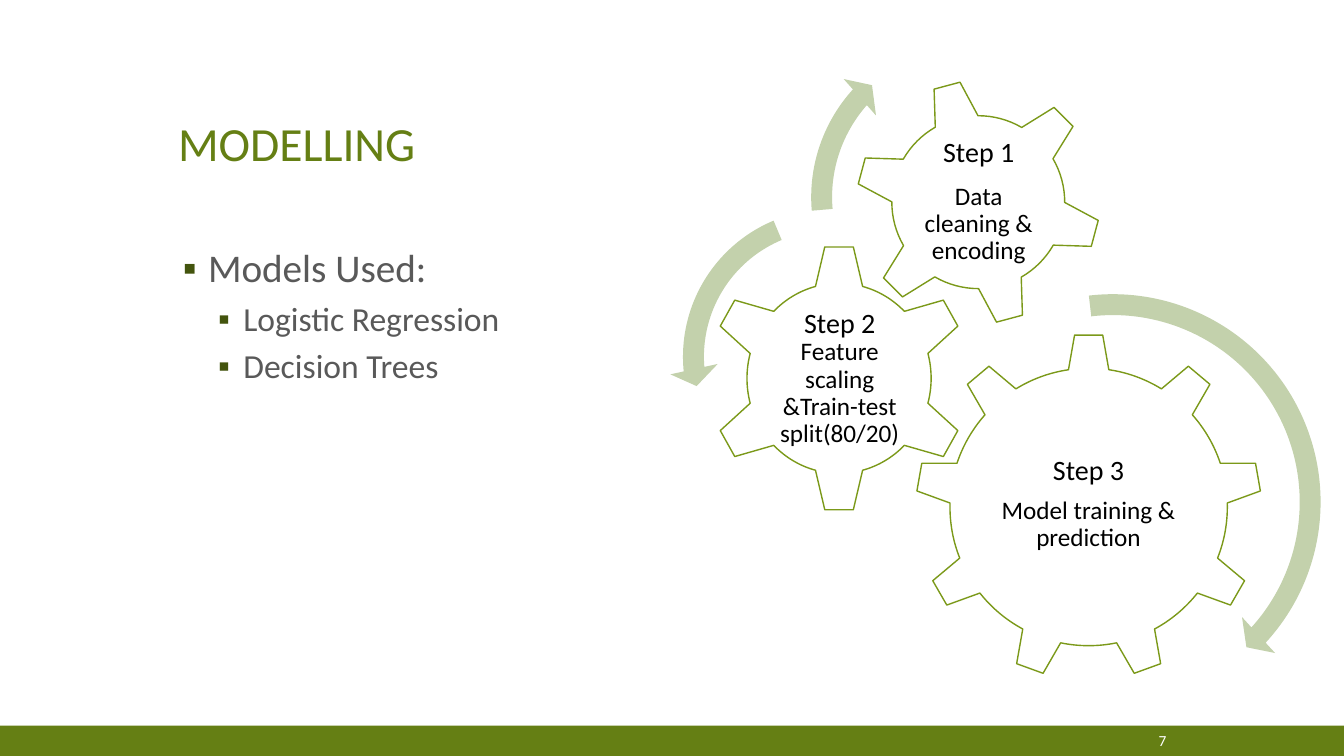
import pptx
import pptx.util
import pptx.dml.color
import pptx.enum.shapes
import pptx.enum.text
import lxml.etree

Pt = pptx.util.Pt
SHAPE = pptx.enum.shapes.MSO_SHAPE
ALIGN = pptx.enum.text.PP_ALIGN
ANCHOR = pptx.enum.text.MSO_ANCHOR
COLORS = {
    "green": "657F14", "outline": "7B9919", "arrow": "C3D1AC", "bullet": "43540D",
    "body": "595959", "black": "000000", "white": "FFFFFF",
}


def rgb(name):
    return pptx.dml.color.RGBColor.from_string(COLORS[name])


def style(para, size, color, align=ALIGN.LEFT, spacing=0.9):
    para.font.name = "Calibri"
    para.font.size = Pt(size)
    para.font.color.rgb = rgb(color)
    para.alignment = align
    para.line_spacing = spacing


deck = pptx.Presentation()
deck.slide_width, deck.slide_height = Pt(960), Pt(540)
page = deck.slides.add_slide(deck.slide_layouts[5])

footer = page.shapes.add_shape(SHAPE.RECTANGLE, Pt(0), Pt(518.4), Pt(960), Pt(21.6))
footer.shadow.inherit = False
footer.fill.solid()
footer.fill.fore_color.rgb = rgb("green")
footer.line.fill.background()

title = page.shapes.title
title.left, title.top, title.width, title.height = Pt(120), Pt(36), Pt(720), Pt(90)
title.text_frame.text = "MODELLING"
title.text_frame.vertical_anchor = ANCHOR.BOTTOM
style(title.text_frame.paragraphs[0], 34, "green")

models = page.shapes.add_textbox(Pt(120), Pt(174.2), Pt(354), Pt(351.4)).text_frame
models.word_wrap = True
models.text = "Models Used:\nLogistic Regression\nDecision Trees"
for para, level, size, margin, before in zip(
    models.paragraphs, (0, 1, 1), (28, 24, 24), (21.6, 46.8, 46.8), (0, 8, 8)
):
    style(para, size, "body")
    para.level = level
    para.space_before = Pt(before)
    properties = para._p.get_or_add_pPr()
    properties.set("marL", str(Pt(margin)))
    properties.set("indent", str(Pt(-18)))
    namespace = properties.nsmap["a"]
    bullet_color = lxml.etree.SubElement(properties, f"{{{namespace}}}buClr")
    lxml.etree.SubElement(bullet_color, f"{{{namespace}}}srgbClr", val=COLORS["bullet"])
    lxml.etree.SubElement(properties, f"{{{namespace}}}buFont", typeface="Arial")
    lxml.etree.SubElement(properties, f"{{{namespace}}}buChar", char="▪")

gears = [
    (SHAPE.GEAR_9, (653.8, 238.3, 247.7, 247.7), 0, (703.4, 296.6, 148.3, 127.4),
     [["Step 3"], ["Model training & prediction"]], 8),
    (SHAPE.GEAR_6, (505.4, 174.2, 187.9, 192.2), 0, (553, 222.5, 93.6, 95.8),
     [["Step 2 ", "Feature scaling &Train-test split(80/20)"]], 0),
    (SHAPE.GEAR_6, (610.6, 56.2, 176.4, 176.4), 345, (649.4, 94.3, 99.4, 99.4),
     [["Step 1"], ["Data cleaning & encoding"]], 11),
]
diagram = page.shapes.add_group_shape()
for kind, frame, rotation, text_frame, step, gap in gears:
    gear = diagram.shapes.add_shape(kind, *map(Pt, frame))
    gear.rotation = rotation
    gear.shadow.inherit = False
    gear.fill.solid()
    gear.fill.fore_color.rgb = rgb("white")
    gear.line.color.rgb = rgb("outline")
    gear.line.width = Pt(1)

    label = diagram.shapes.add_textbox(*map(Pt, text_frame)).text_frame
    label.word_wrap = True
    label.vertical_anchor = ANCHOR.MIDDLE
    label.margin_left = label.margin_right = label.margin_top = label.margin_bottom = Pt(2)
    for index, parts in enumerate(step):
        para = label.add_paragraph() if index else label.paragraphs[0]
        style(para, 18 if index else 20, "black", ALIGN.CENTER)
        para.space_before = Pt(gap if index else 0)
        for part in parts:
            span = para.add_run()
            span.text = part
        if len(parts) > 1:
            span.font.size = Pt(18)

arrows = [
    (SHAPE.CIRCULAR_ARROW, 636.5, 200.2, 316.8, (0.047, 2.99, 25.436, 158.034, 0.055)),
    (SHAPE.LEFT_CIRCULAR_ARROW, 478.1, 139.7, 230.4, (0.065, 4.3, 104.891, 148.378, 0.075)),
    (SHAPE.CIRCULAR_ARROW, 569.5, 16.6, 248.4, (0.06, 3.941, 133.138, 105.082, 0.07)),
]
for kind, left, top, size, adjustments in arrows:
    arrow = diagram.shapes.add_shape(kind, Pt(left), Pt(top), Pt(size), Pt(size))
    arrow.shadow.inherit = False
    arrow.fill.solid()
    arrow.fill.fore_color.rgb = rgb("arrow")
    arrow.line.fill.background()
    for index, value in enumerate(adjustments):
        arrow.adjustments[index] = value

number = page.shapes.add_textbox(Pt(779), Pt(519.8), Pt(61.2), Pt(18)).text_frame
number.word_wrap = True
number.vertical_anchor = ANCHOR.MIDDLE
number.text = "7"
style(number.paragraphs[0], 11, "white", ALIGN.RIGHT, 1.0)

deck.save("out.pptx")
